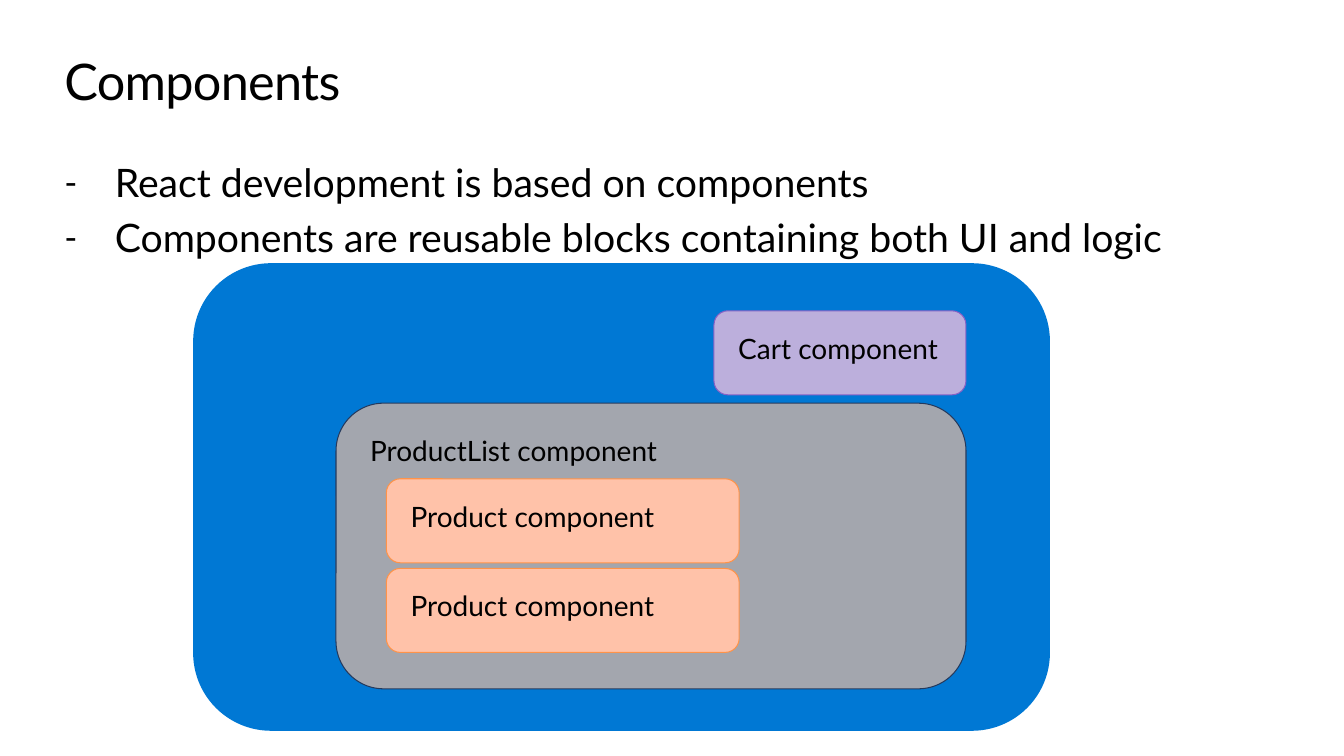
from lxml import etree
from pptx import Presentation
from pptx.dml.color import RGBColor
from pptx.enum.shapes import MSO_SHAPE
from pptx.enum.text import MSO_ANCHOR, PP_ALIGN
from pptx.oxml.ns import qn
from pptx.util import Pt

FONT = "Lato"
BLACK = RGBColor(0x00, 0x00, 0x00)
APP_BLUE = RGBColor(0x00, 0x78, 0xD4)
CART_FILL = RGBColor(0xBC, 0xAF, 0xDC)
CART_LINE = RGBColor(0x86, 0x61, 0xC5)
LIST_FILL = RGBColor(0xA3, 0xA6, 0xAE)
LIST_LINE = RGBColor(0x24, 0x3A, 0x5E)
PRODUCT_FILL = RGBColor(0xFF, 0xC2, 0xA9)
PRODUCT_LINE = RGBColor(0xFF, 0x93, 0x49)


def style_paragraph(paragraph, size):
    paragraph.alignment = PP_ALIGN.LEFT
    paragraph.font.name = FONT
    paragraph.font.size = Pt(size)
    paragraph.font.color.rgb = BLACK


def set_margins(frame, horizontal, vertical):
    frame.word_wrap = True
    frame.vertical_anchor = MSO_ANCHOR.TOP
    frame.margin_left = frame.margin_right = Pt(horizontal)
    frame.margin_top = frame.margin_bottom = Pt(vertical)


def add_text_frame(slide, left, top, width, height):
    frame = slide.shapes.add_textbox(Pt(left), Pt(top), Pt(width), Pt(height)).text_frame
    set_margins(frame, 0, 0)
    return frame


def add_title(slide, left, top, width, height, title):
    heading = add_text_frame(slide, left, top, width, height).paragraphs[0]
    run = heading.add_run()
    run.text = title
    style_paragraph(heading, 36)
    run.font._element.set("spc", "-50")


def add_dash(paragraph, indent):
    """Give the paragraph a hanging dash bullet."""
    properties = paragraph._p.get_or_add_pPr()
    properties.set("marL", str(Pt(indent)))
    properties.set("indent", str(-Pt(indent)))
    etree.SubElement(properties, qn("a:buSzPct")).set("val", "90000")
    etree.SubElement(properties, qn("a:buFont")).set("typeface", FONT)
    etree.SubElement(properties, qn("a:buChar")).set("char", "-")


def add_statements(slide, left, top, width, height, statements):
    frame = add_text_frame(slide, left, top, width, height)
    for index, statement in enumerate(statements):
        paragraph = frame.add_paragraph() if index else frame.paragraphs[0]
        paragraph.text = statement
        paragraph.space_before = Pt(5.6 if index else 0)
        add_dash(paragraph, 36)
        style_paragraph(paragraph, 28)


def add_component(slide, left, top, width, height, fill, line=None, label=""):
    component = slide.shapes.add_shape(
        MSO_SHAPE.ROUNDED_RECTANGLE, Pt(left), Pt(top), Pt(width), Pt(height))
    component.shadow.inherit = False
    component.fill.solid()
    component.fill.fore_color.rgb = fill
    if line is None:
        component.line.fill.background()
    else:
        component.line.color.rgb = line
        component.line.width = Pt(0.75)
    if label:
        set_margins(component.text_frame, 14.4, 11.5)
        component.text_frame.text = label
        style_paragraph(component.text_frame.paragraphs[0], 20)


def add_product_list(slide, left, top, width, height):
    add_component(slide, left, top, width, height,
                  LIST_FILL, LIST_LINE, "ProductList component")
    for row in range(2):
        add_component(slide, left + 36, top + 54 + row * 64, 252, 60,
                      PRODUCT_FILL, PRODUCT_LINE, "Product component")


def add_app_diagram(slide, left, top, width, height):
    """Draw the app with its cart and product list nested inside."""
    right = left + width - 60
    add_component(slide, left, top, width, height, APP_BLUE)
    add_component(slide, right - 180, top + 34, 180, 60,
                  CART_FILL, CART_LINE, "Cart component")
    add_product_list(slide, right - 450, top + 100, 450, 204)


def main():
    presentation = Presentation()
    presentation.slide_width, presentation.slide_height = Pt(960), Pt(540)
    slide = presentation.slides.add_slide(presentation.slide_layouts[6])
    add_title(slide, 46, 36, 868, 43.2, "Components")
    add_statements(slide, 46, 113, 868, 75, [
        "React development is based on components",
        "Components are reusable blocks containing both UI and logic",
    ])
    add_app_diagram(slide, 138, 188, 612, 334)
    presentation.save("out.pptx")


if __name__ == "__main__":
    main()
